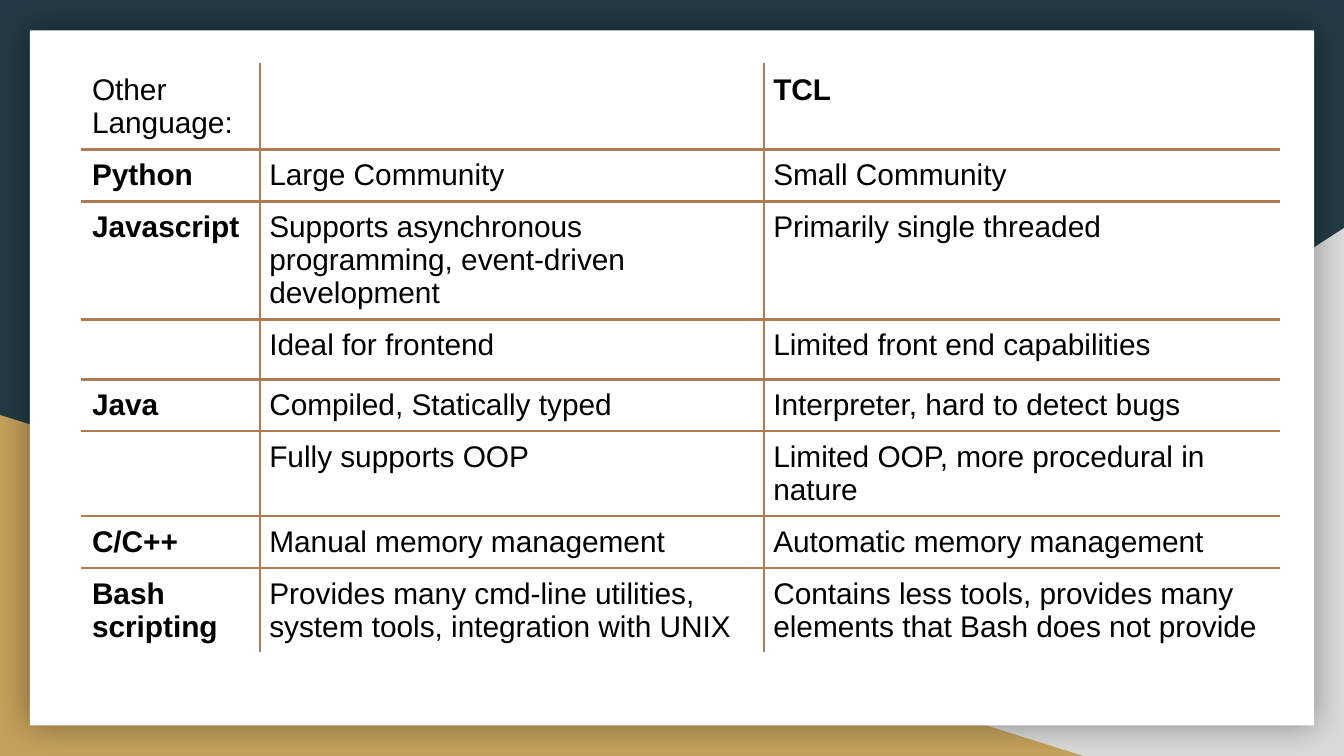
from dataclasses import dataclass
from lxml.etree import SubElement as Sub
from pptx import Presentation
from pptx.dml.color import RGBColor as Rgb
from pptx.enum.shapes import MSO_SHAPE as Kind
from pptx.oxml.ns import qn
from pptx.util import Pt


@dataclass(frozen=True)
class Theme:
    navy: str = "233A44"
    gray: str = "D9D9D9"
    gold: str = "C4A15A"
    white: str = "FFFFFF"
    black: str = "000000"
    brown: str = "AF7B51"
    font: str = "Arial"
    size: float = 16
    rule: float = 1.5
    inset: float = 5


THEME = Theme()
LINE = 17.8
BLANK = 30.3
COLS = (95, 270, 276)
ROWS = (
    (2, "Other Language:", "", "TCL"),
    (1, "Python", "Large Community", "Small Community"),
    (3, "Javascript", "Supports asynchronous programming, event-driven development",
     "Primarily single threaded"),
    (1, "", "Ideal for frontend", "Limited front end capabilities"),
    (1, "Java", "Compiled, Statically typed", "Interpreter, hard to detect bugs"),
    (2, "", "Fully supports OOP", "Limited OOP, more procedural in nature"),
    (1, "C/C++", "Manual memory management", "Automatic memory management"),
    (2, "Bash scripting",
     "Provides many cmd-line utilities, system tools, integration with UNIX",
     "Contains less tools, provides many elements that Bash does not provide"),
)


def add_block(slide, kind, box, color):
    block = slide.shapes.add_shape(kind, *map(Pt, box))
    block.shadow.inherit = False
    block.fill.solid()
    block.fill.fore_color.rgb = Rgb.from_string(color)
    block.line.fill.background()
    return block


def flip(block):
    block._element.spPr.find(qn("a:xfrm")).set("flipH", "1")


def add_glow(block):
    effects = block._element.spPr.find(qn("a:effectLst"))
    glow = Sub(effects, qn("a:outerShdw"), blurRad=str(Pt(18)), dist="0", dir="0",
               algn="ctr", rotWithShape="0")
    color = Sub(glow, qn("a:srgbClr"), val=THEME.black)
    Sub(color, qn("a:alpha"), val="40000")


def add_edge(cell, side, color):
    edge = Sub(cell._tc.get_or_add_tcPr(), qn(f"a:ln{side}"), w=str(Pt(THEME.rule)))
    fill = Sub(edge, qn("a:solidFill"))
    Sub(fill, qn("a:srgbClr"), val=color)


def set_cell(cell, text, bold, outer):
    for side in "LRTB":
        add_edge(cell, side, THEME.white if side in outer else THEME.brown)
    cell.fill.background()
    cell.margin_left = cell.margin_right = Pt(THEME.inset)
    cell.margin_top = cell.margin_bottom = Pt(THEME.inset)
    if not text:
        return
    cell.text_frame.text = text
    font = cell.text_frame.paragraphs[0].runs[0].font
    font.name, font.size, font.bold = THEME.font, Pt(THEME.size), bold
    font.color.rgb = Rgb.from_string(THEME.black)


def row_high(lines, texts):
    high = lines * LINE + 2 * THEME.inset
    return high if all(texts) else max(high, BLANK) if texts[1] != "Fully supports OOP" else high


def add_grid(slide, left, top):
    highs = [row_high(lines, texts) for lines, *texts in ROWS]
    grid = slide.shapes.add_table(len(ROWS), len(COLS), Pt(left), Pt(top),
                                  Pt(sum(COLS)), Pt(sum(highs))).table
    grid.first_row = grid.horz_banding = False
    for col, wide in zip(grid.columns, COLS):
        col.width = Pt(wide)
    last_row, last_col = len(ROWS) - 1, len(COLS) - 1
    for r, (lines, *texts) in enumerate(ROWS):
        grid.rows[r].height = Pt(highs[r])
        for c, text in enumerate(texts):
            ends = {"L": c == 0, "R": c == last_col, "T": r == 0, "B": r == last_row}
            outer = {side for side, end in ends.items() if end}
            bold = (r == 0) == (c == last_col) and (r == 0 or c == 0)
            set_cell(grid.cell(r, c), text, bold, outer)


def main():
    deck = Presentation()
    deck.slide_width, deck.slide_height = Pt(720), Pt(405)
    slide = deck.slides.add_slide(deck.slide_layouts[6])
    back = slide.background.fill
    back.solid()
    back.fore_color.rgb = Rgb.from_string(THEME.navy)
    flip(add_block(slide, Kind.RIGHT_TRIANGLE, (282, 122.2, 438, 282.8), THEME.gray))
    add_block(slide, Kind.RIGHT_TRIANGLE, (0, 222.3, 580.3, 182.7), THEME.gold)
    add_glow(add_block(slide, Kind.RECTANGLE, (16, 16.3, 688, 372.4), THEME.white))
    add_grid(slide, 44.3, 34.5)
    deck.save("out.pptx")


if __name__ == "__main__":
    main()
